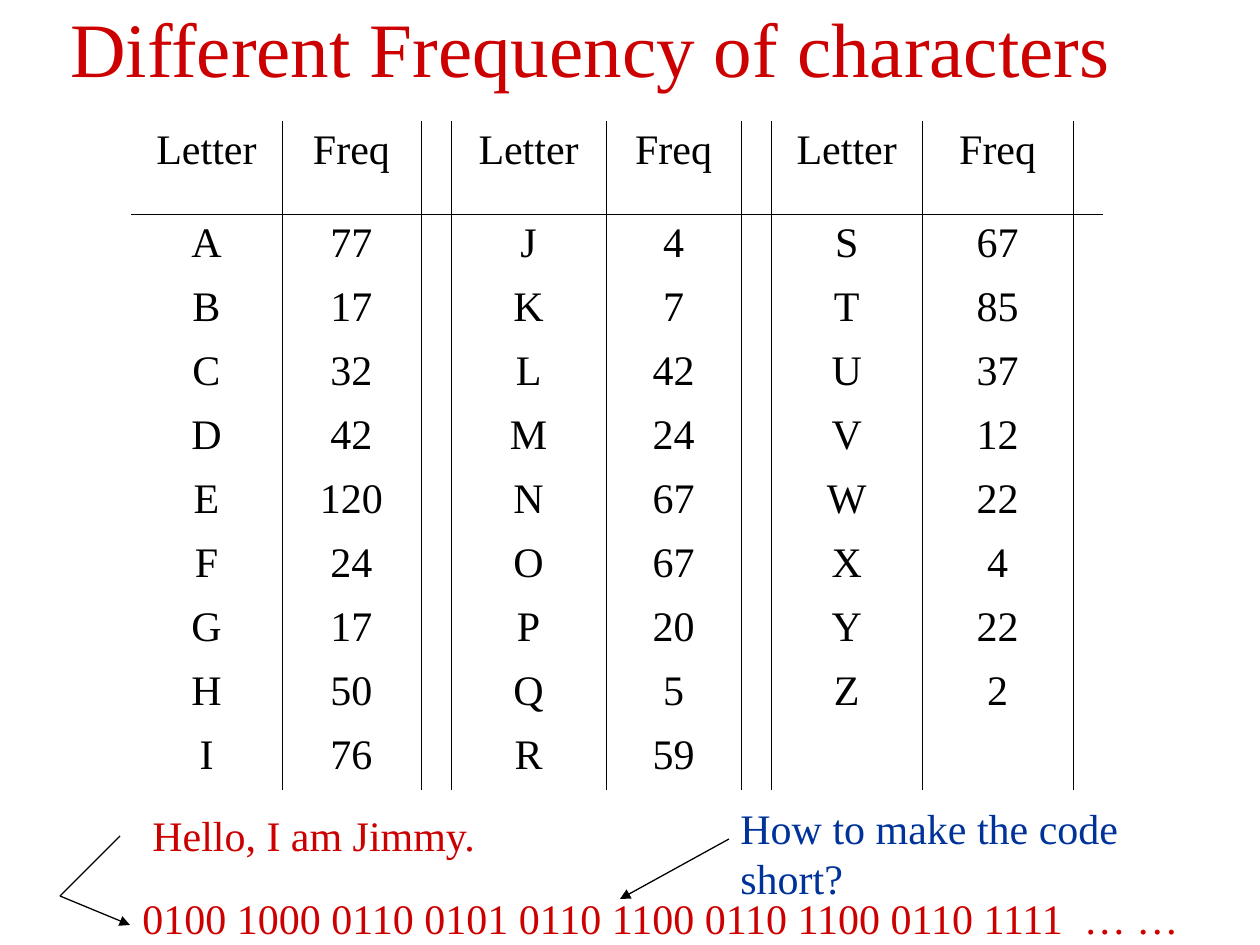
from dataclasses import dataclass

from lxml import etree
from pptx import Presentation
from pptx.dml.color import RGBColor
from pptx.enum import shapes, text
from pptx.oxml import ns
from pptx.util import Pt

SCALE = 914400 / 126  # EMU in one px


@dataclass(frozen=True)
class Theme:
    font: str = "Times New Roman"
    title_size: int = 44
    body_size: int = 24
    red: str = "CC0000"
    blue: str = "003399"
    black: str = "000000"
    arrow_width: float = 0.75
    border_width: float = 0.45


THEME = Theme()
COLUMN_WIDTHS = [151, 139, 30, 155, 135, 30, 151, 151, 30]
HEADER_HEIGHT, ROW_HEIGHT = 93, 64
LETTER_GROUPS = [
    {"A": 77, "B": 17, "C": 32, "D": 42, "E": 120, "F": 24, "G": 17, "H": 50, "I": 76},
    {"J": 4, "K": 7, "L": 42, "M": 24, "N": 67, "O": 67, "P": 20, "Q": 5, "R": 59},
    {"S": 67, "T": 85, "U": 37, "V": 12, "W": 22, "X": 4, "Y": 22, "Z": 2},
]


def px(*lengths):
    return [round(length * SCALE) for length in lengths]


def style(para, size, color, align):
    para.alignment = align
    para.font.name = THEME.font
    para.font.size = Pt(size)
    para.font.color.rgb = RGBColor.from_string(color)


def add_text(page, box, words, color, size=THEME.body_size):
    label = page.shapes.add_textbox(*px(*box))
    frame = label.text_frame
    frame.word_wrap = False
    frame.auto_size = text.MSO_AUTO_SIZE.SHAPE_TO_FIT_TEXT
    frame.text = words
    style(frame.paragraphs[0], size, color, text.PP_ALIGN.LEFT)
    return label


def add_title(page, box, words):
    frame = add_text(page, box, words, THEME.red, THEME.title_size).text_frame
    frame.word_wrap = True
    frame.auto_size = text.MSO_AUTO_SIZE.NONE
    frame.vertical_anchor = text.MSO_ANCHOR.MIDDLE
    frame.margin_left = frame.margin_right = frame.margin_top = frame.margin_bottom = 0
    frame.paragraphs[0].alignment = text.PP_ALIGN.CENTER


def set_borders(cell, visible):
    properties = cell._tc.get_or_add_tcPr()
    for index, side in enumerate("LRTB"):
        line = etree.Element(ns.qn(f"a:ln{side}"), w=str(Pt(THEME.border_width)))
        if side in visible:
            fill = etree.SubElement(line, ns.qn("a:solidFill"))
            etree.SubElement(fill, ns.qn("a:srgbClr"), val=THEME.black)
        else:
            etree.SubElement(line, ns.qn("a:noFill"))
        properties.insert(index, line)


def add_frequency_table(page, box):
    row_count = 1 + max(len(group) for group in LETTER_GROUPS)
    last = len(COLUMN_WIDTHS) - 1
    table = page.shapes.add_table(row_count, last + 1, *px(*box)).table
    table.first_row = table.horz_banding = False
    for column, width in zip(table.columns, px(*COLUMN_WIDTHS)):
        column.width = width
    heights = [HEADER_HEIGHT] + [ROW_HEIGHT] * (row_count - 1)
    for row, height in zip(table.rows, px(*heights)):
        row.height = height

    # Each group fills two columns and leaves a narrow third one empty
    for index, group in enumerate(LETTER_GROUPS):
        for row, pair in enumerate([("Letter", "Freq"), *group.items()]):
            for offset, value in enumerate(pair):
                cell = table.cell(row, 3 * index + offset)
                cell.text = str(value)
                style(cell.text_frame.paragraphs[0], THEME.body_size,
                      THEME.black, text.PP_ALIGN.CENTER)

    # Rules between columns and below the header
    for row in range(row_count):
        for column in range(last + 1):
            cell = table.cell(row, column)
            cell.fill.background()
            sides = ("L" if column > 0 else "") + ("R" if column < last else "")
            sides += {0: "B", 1: "T"}.get(row, "")
            set_borders(cell, sides)


def add_line(page, start, end, arrow=True):
    line = page.shapes.add_connector(
        shapes.MSO_CONNECTOR.STRAIGHT, *px(*start, *end))
    line.line.width = Pt(THEME.arrow_width)
    line.line.color.rgb = RGBColor.from_string(THEME.black)
    if arrow:
        etree.SubElement(line.line._get_or_add_ln(), ns.qn("a:tailEnd"), type="triangle")
    etree.SubElement(line._element.spPr, ns.qn("a:effectLst"))


def add_code_example(page, box):
    left, top, width, height = box

    def at(x, y):
        return left + x, top + y

    # Message and its code
    add_text(page, (*at(80, 7), 350, 63), "Hello, I am Jimmy.", THEME.red)
    add_text(page, (*at(70, 90), 1085, 63),
             "0100 1000 0110 0101 0110 1100 0110 1100 0110 1111  … …", THEME.red)

    # Bent arrow from message to code
    bend = at(0, 100)
    add_line(page, at(60, 40), bend, arrow=False)
    add_line(page, bend, at(70, 129))

    # Question pointing at the code
    add_line(page, at(669, 43), at(560, 103))
    add_text(page, (*at(668, 0), 515, 63), "How to make the code short?", THEME.blue)


def main():
    deck = Presentation()
    deck.slide_width, deck.slide_height = px(1260, 945)
    page = deck.slides.add_slide(deck.slide_layouts[6])
    add_title(page, (25, 6, 1131, 81), "Different Frequency of characters")
    add_frequency_table(page, (131, 121, 972, 669))
    add_code_example(page, (60, 796, 1183, 153))
    deck.save("out.pptx")


if __name__ == "__main__":
    main()
